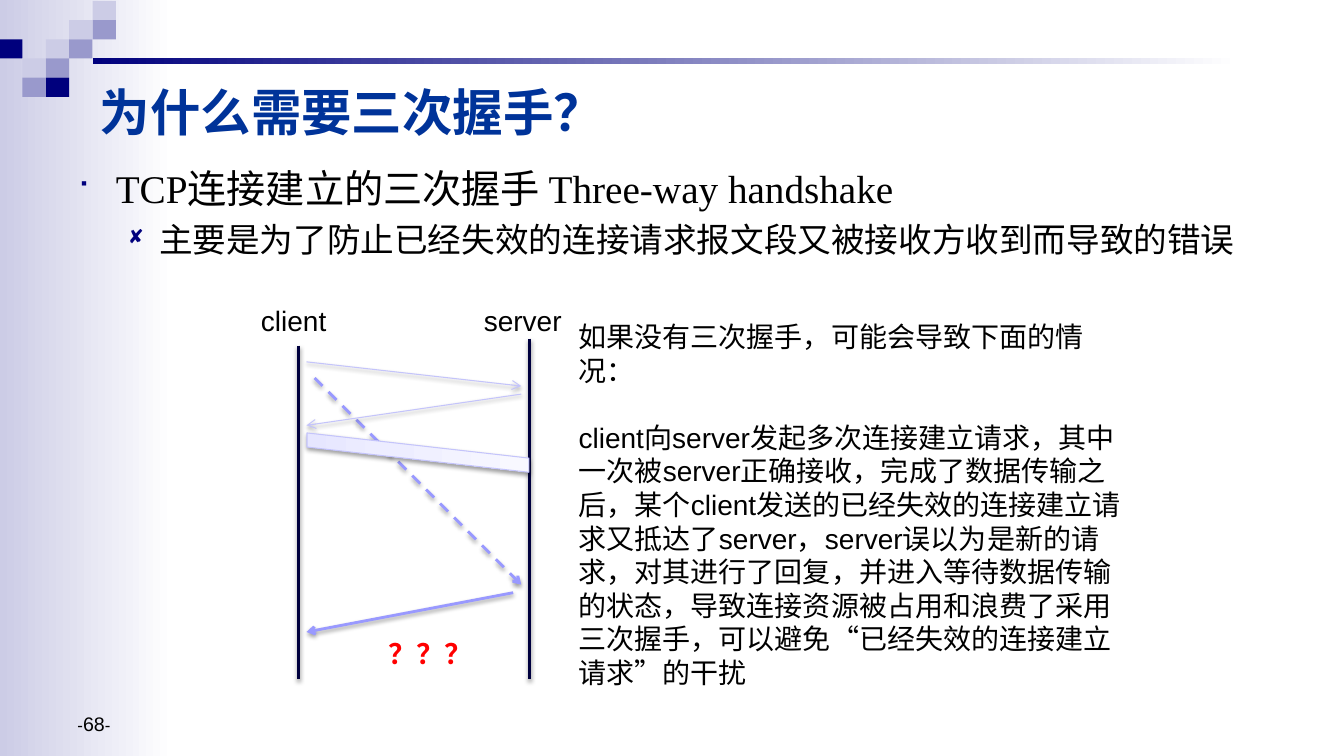
from dataclasses import dataclass
from typing import NamedTuple

from lxml import etree
from pptx import Presentation
from pptx.dml.color import RGBColor
from pptx.enum.dml import MSO_LINE
from pptx.enum.lang import MSO_LANGUAGE_ID
from pptx.enum.shapes import MSO_CONNECTOR, MSO_SHAPE
from pptx.enum.text import MSO_ANCHOR, MSO_AUTO_SIZE, PP_ALIGN
from pptx.oxml.ns import qn
from pptx.util import Inches, Pt

RECTANGLE = MSO_SHAPE.RECTANGLE
PARALLELOGRAM = MSO_SHAPE.PARALLELOGRAM
STRAIGHT = MSO_CONNECTOR.STRAIGHT
DASH = MSO_LINE.DASH
TOP, MIDDLE, BOTTOM = MSO_ANCHOR.TOP, MSO_ANCHOR.MIDDLE, MSO_ANCHOR.BOTTOM
LEFT = PP_ALIGN.LEFT
FIT_SHAPE = MSO_AUTO_SIZE.SHAPE_TO_FIT_TEXT
CHINESE = MSO_LANGUAGE_ID.SIMPLIFIED_CHINESE
TITLE_ONLY = 5

NAVY, LAVENDER, PALE = "00007D", "9999CC", "CCCCE6"
WHITE, BLACK, RED, TITLE_BLUE = "FFFFFF", "000000", "FF0000", "003399"
TIMELINE, FADED, VIVID = "00003E", "C4C4FB", "9999FF"
SANS, SERIF, SYMBOLS = "Arial", "Times New Roman", "Wingdings"

TILE_COLORS = {"D": NAVY, "M": LAVENDER, "L": PALE}
MOSAIC = ("....L", "...LM", "D.LM.", ".LM..", ".MD..")
TILE_WIDTH, TILE_HEIGHT = 1.16 / 5, 0.19


class Box(NamedTuple):
    left: float
    top: float
    width: float
    height: float


class Run(NamedTuple):
    text: str
    size: float
    font: str = SANS
    color: str = BLACK
    bold: bool = False


@dataclass
class Paragraph:
    runs: list[Run]
    space_before: float = 0
    bullet: str = ""
    margin: float = 0
    hanging: float = 0


@dataclass
class Line:
    start: tuple[float, float]
    end: tuple[float, float]
    color: str
    width: float
    arrow: bool = True
    dashed: bool = False


@dataclass
class Label:
    box: Box
    paragraphs: list[Paragraph]
    wrap: bool = True
    grow: bool = True
    anchor: MSO_ANCHOR = TOP


LINES = [
    Line((2.96, 3.43), (2.96, 6.74), TIMELINE, 2, arrow=False),
    Line((5.25, 3.36), (5.25, 6.74), TIMELINE, 2, arrow=False),
    Line((3.04, 3.59), (5.17, 3.83), FADED, 0.75),
    Line((3.12, 3.75), (5.17, 5.8), VIVID, 2, dashed=True),
    Line((5.17, 3.91), (3.04, 4.22), FADED, 0.75),
    Line((5.09, 5.88), (3.04, 6.27), VIVID, 2),
]

LABELS = [
    Label(Box(0.67, 1.58, 12, 1.2), [
        Paragraph([Run("TCP连接建立的三次握手 Three-way handshake", 28, SERIF)],
                  bullet="■", margin=0.38, hanging=0.38),
        Paragraph([Run("主要是为了防止已经失效的连接请求报文段又被接收方收到而导致的错误", 24, SERIF)],
                  space_before=5.5, bullet="◻", margin=0.81, hanging=0.31),
    ], grow=False),
    Label(Box(0.67, 6.83, 3.11, 0.52),
          [Paragraph([Run("-", 12), Run("68", 14), Run("-", 12)])],
          grow=False, anchor=BOTTOM),
    Label(Box(2.49, 2.96, 0.86, 0.44), [Paragraph([Run("client", 20)])], wrap=False),
    Label(Box(4.7, 2.96, 0.98, 0.44), [Paragraph([Run("server", 20)])], wrap=False),
    Label(Box(5.64, 3.12, 5.69, 3.8), [
        Paragraph([Run("如果没有三次握手，可能会导致下面的情况：", 20)]),
        Paragraph([Run(
            "client向server发起多次连接建立请求，其中一次被server正确接收，完成了数据传输之后，"
            "某个client发送的已经失效的连接建立请求又抵达了server，server误以为是新的请求，"
            "对其进行了回复，并进入等待数据传输的状态，导致连接资源被占用和浪费了"
            "采用三次握手，可以避免“已经失效的连接建立请求”的干扰", 20)], space_before=24),
    ]),
    Label(Box(3.75, 6.27, 1.05, 0.44),
          [Paragraph([Run("？？？", 20, color=RED, bold=True)])], wrap=False),
]


def rgb(color: str) -> RGBColor:
    return RGBColor.from_string(color)


def add_child(parent, tag: str, **attributes):
    return etree.SubElement(parent, qn(tag), attributes)


def add_shadow(properties) -> None:
    effects = properties.find(qn("a:effectLst"))
    if effects is None:
        effects = add_child(properties, "a:effectLst")
    shadow = add_child(effects, "a:outerShdw", blurRad=str(Pt(3.1)), dist=str(Pt(1.6)),
                       dir="5400000", rotWithShape="0")
    color = add_child(shadow, "a:srgbClr", val=BLACK)
    add_child(color, "a:alpha", val="38000")


def add_block(slide, preset, box: Box, stops: list[tuple[int, str]], angle: int = 0):
    """Add a borderless shape; one stop gives a solid fill, more give a gradient."""
    shape = slide.shapes.add_shape(preset, *map(Inches, box))
    shape.shadow.inherit = False
    shape.line.fill.background()
    if len(stops) == 1:
        shape.fill.solid()
        shape.fill.fore_color.rgb = rgb(stops[0][1])
        return shape
    shape.fill.gradient()
    gradient = shape._element.spPr.find(qn("a:gradFill"))
    for child in list(gradient):
        gradient.remove(child)
    stop_list = add_child(gradient, "a:gsLst")
    for position, color in stops:
        stop = add_child(stop_list, "a:gs", pos=str(position * 1000))
        add_child(stop, "a:srgbClr", val=color)
    add_child(gradient, "a:lin", ang=str(angle * 60000), scaled="0")
    return shape


def add_line(slide, line: Line) -> None:
    connector = slide.shapes.add_connector(STRAIGHT, *map(Inches, line.start + line.end))
    connector.line.color.rgb = rgb(line.color)
    connector.line.width = Pt(line.width)
    if line.dashed:
        connector.line.dash_style = DASH
    properties = connector._element.spPr
    if line.arrow:
        add_child(properties.find(qn("a:ln")), "a:tailEnd", type="arrow")
    add_shadow(properties)


def write_paragraph(paragraph, content: Paragraph) -> None:
    paragraph.alignment = LEFT
    if content.space_before:
        paragraph.space_before = Pt(content.space_before)
    properties = paragraph._p.get_or_add_pPr()
    properties.set("hangingPunct", "0")
    if content.bullet:
        properties.set("marL", str(Inches(content.margin)))
        properties.set("indent", str(-Inches(content.hanging)))
        add_child(add_child(properties, "a:buClr"), "a:srgbClr", val=NAVY)
        add_child(properties, "a:buSzPct", val="75000")
        add_child(properties, "a:buFont", typeface=SYMBOLS, charset="2")
        add_child(properties, "a:buChar", char=content.bullet)
    for item in content.runs:
        run = paragraph.add_run()
        run.text = item.text
        run.font.size = Pt(item.size)
        run.font.name = item.font
        run.font.bold = item.bold
        run.font.color.rgb = rgb(item.color)
        run.font.language_id = CHINESE


def add_label(slide, label: Label) -> None:
    frame = slide.shapes.add_textbox(*map(Inches, label.box)).text_frame
    frame.word_wrap = label.wrap
    frame.vertical_anchor = label.anchor
    if label.grow:
        frame.auto_size = FIT_SHAPE
    for index, content in enumerate(label.paragraphs):
        write_paragraph(frame.add_paragraph() if index else frame.paragraphs[0], content)


def add_backdrop(slide) -> None:
    add_block(slide, RECTANGLE, Box(0, 0, 1.73, 7.5), [(0, PALE), (100, WHITE)])
    for row, tiles in enumerate(MOSAIC):
        for column, tile in enumerate(tiles):
            if tile in TILE_COLORS:
                box = Box(-0.01 + column * TILE_WIDTH, 0.01 + row * TILE_HEIGHT,
                          TILE_WIDTH, TILE_HEIGHT)
                add_block(slide, RECTANGLE, box, [(0, TILE_COLORS[tile])])
    add_block(slide, RECTANGLE, Box(0.92, 0.58, 11.37, 0.06), [(0, NAVY), (100, WHITE)])


def format_title(slide) -> None:
    title = slide.shapes.title
    slide.shapes._spTree.append(title._element)  # keeps the title above the backdrop
    title.left, title.top, title.width, title.height = map(Inches, (0.89, 0.75, 9.13, 0.71))
    title.text_frame.vertical_anchor = MIDDLE
    write_paragraph(title.text_frame.paragraphs[0],
                    Paragraph([Run("为什么需要三次握手？", 36, SERIF, TITLE_BLUE, True)]))


def add_data_transfer(slide) -> None:
    band = add_block(slide, PARALLELOGRAM, Box(3.95, 3.39, 0.39, 2.2),
                     [(0, "E6E6FF"), (35, "EDEDFF"), (100, "F8F8FF")], angle=270)
    band.rotation = 90
    band.adjustments[0] = 0.64
    band.line.color.rgb = rgb(FADED)
    band.line.width = Pt(0.75)
    add_shadow(band._element.spPr)


def main() -> None:
    presentation = Presentation()
    presentation.slide_width, presentation.slide_height = Inches(13.33), Inches(7.5)
    slide = presentation.slides.add_slide(presentation.slide_layouts[TITLE_ONLY])
    add_backdrop(slide)
    format_title(slide)
    for line in LINES:
        add_line(slide, line)
    add_data_transfer(slide)
    for label in LABELS:
        add_label(slide, label)
    presentation.save("out.pptx")


if __name__ == "__main__":
    main()
